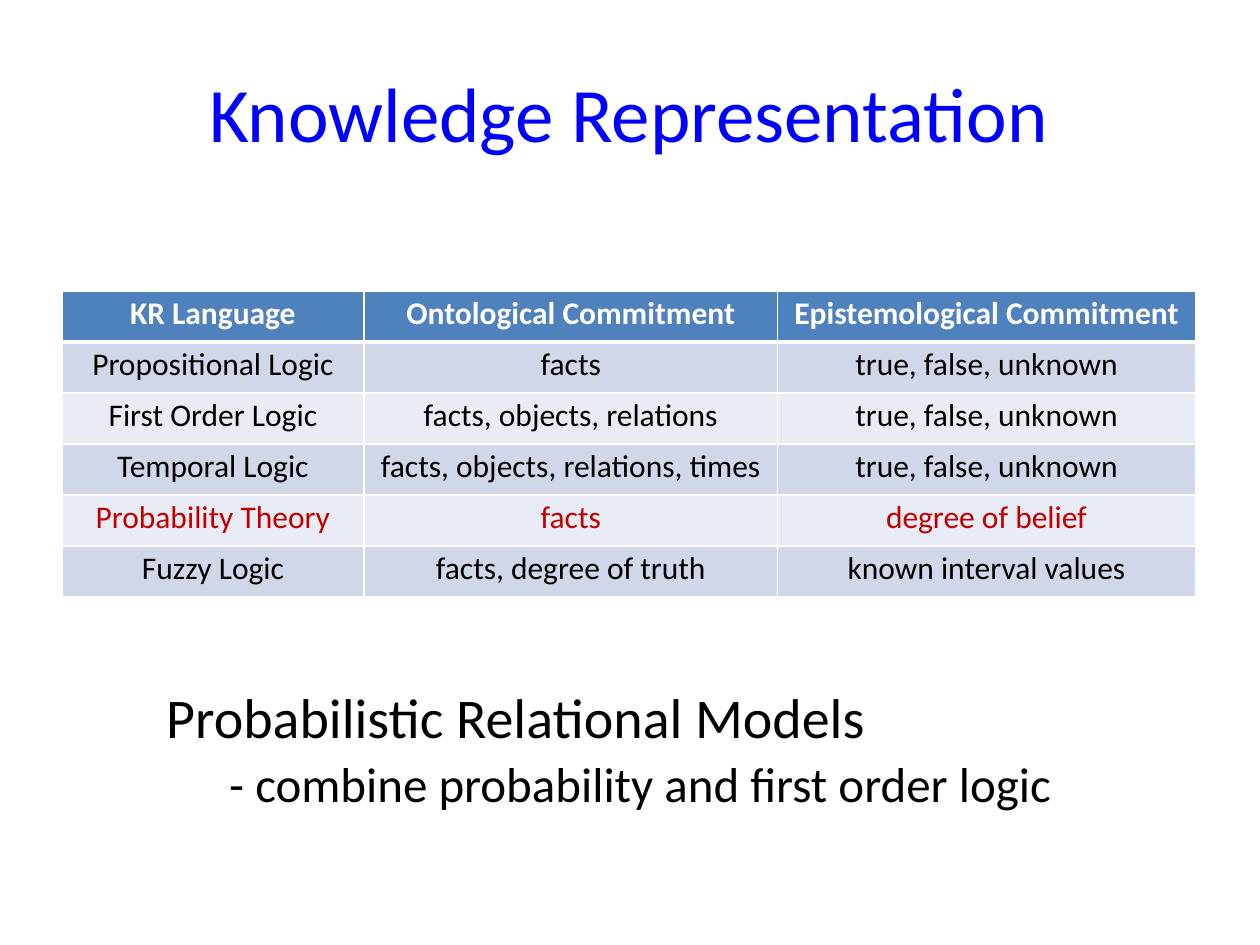
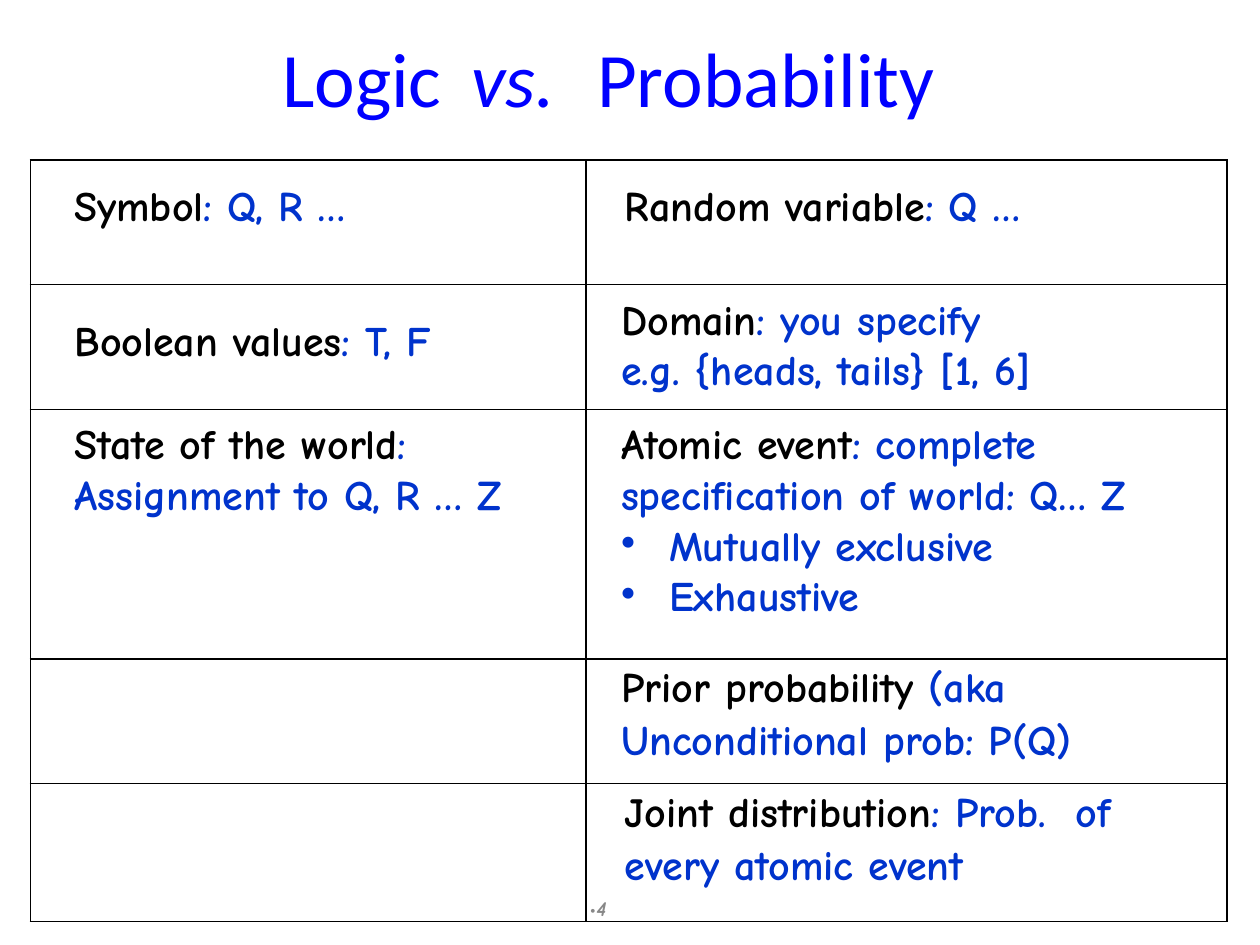
from lxml.etree import SubElement
from pptx import Presentation
from pptx.dml.color import RGBColor
from pptx.enum.text import PP_ALIGN
from pptx.oxml.ns import qn
from pptx.util import Inches, Pt

COLORS = {
    "title": "0000FF", "black": "000000", "white": "FFFFFF",
    "header": "4F81BC", "band_dark": "D0D7E8", "band_light": "E9ECF4",
    "highlight": "C00000", "detail": "0033CC", "number": "888888",
}
BODY_FONT = "Calibri"
COMIC_FONT = "Comic Neue"

LANGUAGES = [
    ("KR Language", "Ontological Commitment", "Epistemological Commitment"),
    ("Propositional Logic", "facts", "true, false, unknown"),
    ("First Order Logic", "facts, objects, relations", "true, false, unknown"),
    ("Temporal Logic", "facts, objects, relations, times", "true, false, unknown"),
    ("Probability Theory", "facts", "degree of belief"),
    ("Fuzzy Logic", "facts, degree of truth", "known interval values"),
]
HIGHLIGHTED_ROW = 4


def write(paragraph, text, font=BODY_FONT, size=18, color="black", bold=False, italic=False):
    run = paragraph.add_run()
    run.text = text
    run.font.name = font
    run.font.size = Pt(size)
    run.font.bold = bold
    run.font.italic = italic
    run.font.color.rgb = RGBColor.from_string(COLORS[color])


def write_comic(paragraph, text, **formats):
    write(paragraph, text, **{"font": COMIC_FONT, "size": 24, "bold": True, **formats})


def lay_out(paragraph, left=0, hanging=0, before=0, spacing=None, tabs=(), bullet=None):
    """Set indents and tab stops in inches and spacing in points."""
    paragraph.space_before = Pt(before)
    if spacing:
        paragraph.line_spacing = spacing
    properties = paragraph._p.get_or_add_pPr()
    properties.set("marL", str(Inches(left)))
    properties.set("indent", str(Inches(-hanging)))
    if bullet:
        SubElement(properties, qn("a:buChar"), char=bullet)
    if tabs:
        tab_list = SubElement(properties, qn("a:tabLst"))
        for position in tabs:
            SubElement(tab_list, qn("a:tab"), pos=str(Inches(position)), algn="l")
    return paragraph


def add_text_frame(slide, left, top, width, height, inset):
    box = slide.shapes.add_textbox(Inches(left), Inches(top), Inches(width), Inches(height))
    frame = box.text_frame
    frame.word_wrap = True
    frame.margin_left = frame.margin_right = frame.margin_bottom = 0
    frame.margin_top = Inches(inset)
    return frame


def add_title(slide, left, top, width, parts, tabs=()):
    """Write (text, italic) parts on one title line."""
    frame = add_text_frame(slide, left, top, width, 0.76, 0.01)
    paragraph = lay_out(frame.paragraphs[0], left=0.01, before=0.9, tabs=tabs)
    for text, italic in parts:
        write(paragraph, text, size=44, color="title", italic=italic)


def add_plain_table(slide, left, top, column_widths, row_count, height):
    frame = slide.shapes.add_table(row_count, len(column_widths), Inches(left), Inches(top),
                                   Inches(sum(column_widths)), Inches(height))
    table = frame.table
    table.first_row = table.horz_banding = False
    for column, width in zip(table.columns, column_widths):
        column.width = Inches(width)
    return table


def style_cell(cell, inset, border, fill=None, top_width=1, bottom_width=1, right_inset=0):
    cell.margin_left = cell.margin_bottom = 0
    cell.margin_right = Inches(right_inset)
    cell.margin_top = Inches(inset)
    properties = cell._tc.get_or_add_tcPr()
    for side, width in (("L", 1), ("R", 1), ("T", top_width), ("B", bottom_width)):
        line = SubElement(properties, qn(f"a:ln{side}"), w=str(Pt(width)))
        SubElement(SubElement(line, qn("a:solidFill")), qn("a:srgbClr"), val=COLORS[border])
    if fill:
        cell.fill.solid()
        cell.fill.fore_color.rgb = RGBColor.from_string(COLORS[fill])
    else:
        cell.fill.background()


def add_language_table(slide):
    table = add_plain_table(slide, 0.49, 2.31, (2.4, 3.28, 3.32), len(LANGUAGES), 2.43)
    for row, texts in enumerate(LANGUAGES):
        is_header = row == 0
        fill = "header" if is_header else "band_dark" if row % 2 else "band_light"
        color = "white" if is_header else "highlight" if row == HIGHLIGHTED_ROW else "black"
        for column, text in enumerate(texts):
            cell = table.cell(row, column)
            style_cell(cell, 0.03, "white", fill, top_width=3 if row == 1 else 1,
                       bottom_width=3 if is_header else 1)
            paragraph = lay_out(cell.text_frame.paragraphs[0], before=2.5)
            paragraph.alignment = PP_ALIGN.CENTER
            write(paragraph, text, bold=is_header)


            paragraph.runs[0].font.color.rgb = RGBColor.from_string(COLORS[color])


def fill_comparison_cell(cell, term, detail, left, inset, spacing=None):
    """Write a black term and its blue detail; the space before equals the inset."""
    style_cell(cell, inset, "black", right_inset=0.4)
    paragraph = lay_out(cell.text_frame.paragraphs[0], left=left, before=inset * 72,
                        spacing=spacing)
    write_comic(paragraph, term)
    write_comic(paragraph, detail, color="detail")


def add_comparison_table(slide):
    rows = [
        (("Symbol", ": Q, R …", 0.35, 0.19), ("Random variable", ": Q …", 0.31, 0.19)),
        (("Boolean values", ": T, F", 0.35, 0.27), ("Domain", ": you specify", 0.28, 0.1)),
        (("State of the world", ": Assignment to Q, R … Z", 0.35, 0.08, 1.05),
         ("Atomic event", ": complete specification of world: Q… Z", 0.28, 0.08, 1.05)),
        (None, ("Prior probability ", "(aka Unconditional prob: P(Q)", 0.28, 0.01, Pt(30.2))),
        (None, ("Joint distribution", ": Prob.  of every atomic event", 0.31, 0.01, Pt(30.2))),
    ]
    table = add_plain_table(slide, 0.24, 1.27, (4.41, 5.09), len(rows), 5.95)
    for row, contents in enumerate(rows):
        table.rows[row].height = Inches(1.98 if row == 2 else 0.99)
        for column, content in enumerate(contents):
            cell = table.cell(row, column)
            if content:
                fill_comparison_cell(cell, *content)
            else:
                style_cell(cell, 0, "black")

    example = table.cell(1, 1).text_frame.add_paragraph()
    write_comic(lay_out(example, left=0.28, before=1.4), "e.g. {heads, tails} [1, 6]",
                color="detail")
    for text in ("Mutually exclusive", "Exhaustive"):
        item = table.cell(2, 1).text_frame.add_paragraph()
        lay_out(item, left=0.66, hanging=0.38, before=1.4, bullet="•")
        write_comic(item, text, color="detail")
    number = table.cell(4, 1).text_frame.add_paragraph()
    lay_out(number, left=0.03, before=8.9, spacing=Pt(8.9))
    write_comic(number, "•", size=12, color="number", bold=False)
    write_comic(number, "4", size=12, color="number", italic=True)


def add_relational_models_note(slide):
    frame = add_text_frame(slide, 1.31, 5.38, 7.06, 1.09, 0.04)
    heading = lay_out(frame.paragraphs[0], left=0.01, before=3.2)
    write(heading, "Probabilistic Relational Models", size=32)
    detail = lay_out(frame.add_paragraph(), left=0.51, before=1.9)
    write(detail, "- combine probability and first order logic", size=28)


def main():
    presentation = Presentation()
    presentation.slide_width = Inches(10)
    presentation.slide_height = Inches(7.5)
    blank = presentation.slide_layouts[6]

    representation = presentation.slides.add_slide(blank)
    add_title(representation, 1.65, 0.51, 6.69, [("Knowledge Representation", False)])
    add_language_table(representation)
    add_relational_models_note(representation)

    comparison = presentation.slides.add_slide(blank)
    add_title(comparison, 2.23, 0.23, 6.02,
              [("Logic\t", False), ("vs.\t", True), ("Probability", False)], tabs=(1.97, 3.33))
    add_comparison_table(comparison)

    presentation.save("out.pptx")


if __name__ == "__main__":
    main()
